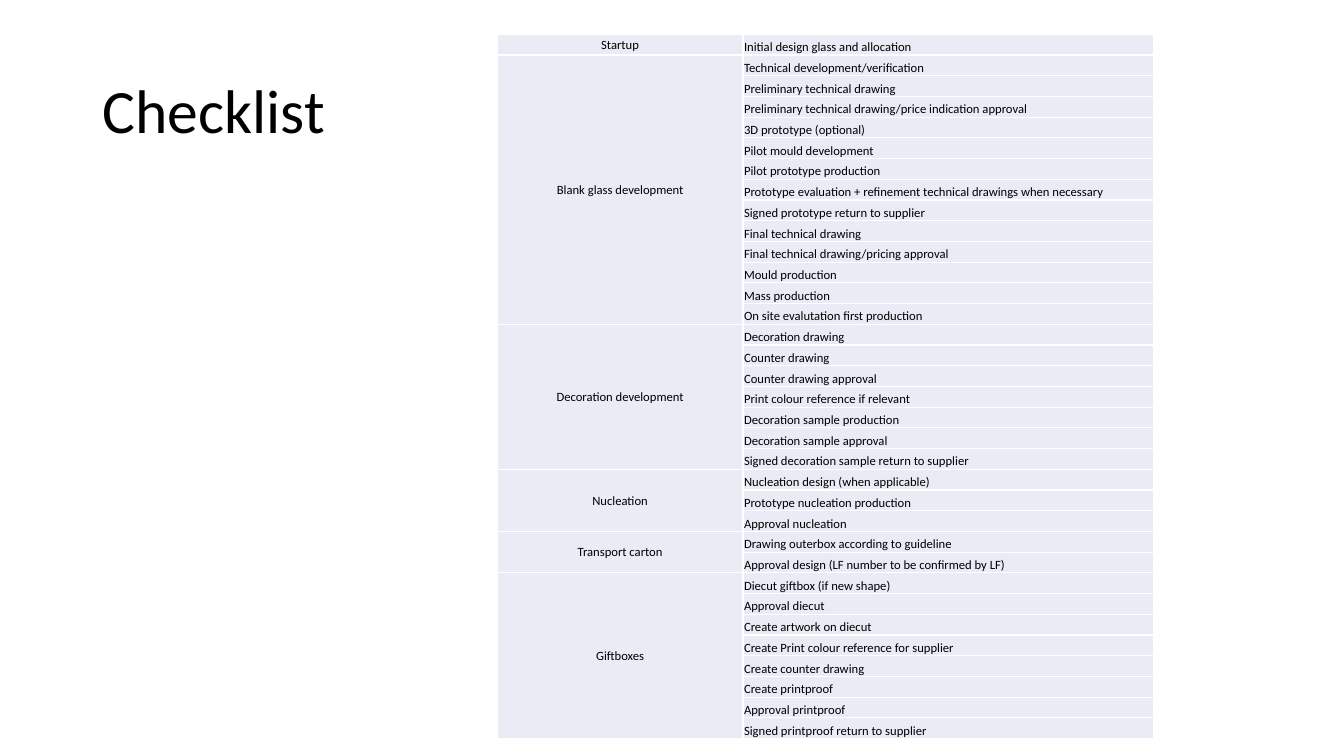
from lxml import etree
from pptx import Presentation
from pptx.dml.color import RGBColor
from pptx.enum.text import MSO_ANCHOR, PP_ALIGN
from pptx.oxml.ns import qn
from pptx.util import Inches, Pt

MIDDLE, BOTTOM = MSO_ANCHOR.MIDDLE, MSO_ANCHOR.BOTTOM
LEFT, CENTER = PP_ALIGN.LEFT, PP_ALIGN.CENTER

BLACK = RGBColor(0x00, 0x00, 0x00)
WHITE = RGBColor(0xFF, 0xFF, 0xFF)
PALE_BLUE = RGBColor(0xE9, 0xEB, 0xF5)
FONT = "Calibri"

PHASES = {
    "Startup": ["Initial design glass and allocation"],
    "Blank glass development": [
        "Technical development/verification",
        "Preliminary technical drawing",
        "Preliminary technical drawing/price indication approval",
        "3D prototype (optional)",
        "Pilot mould development",
        "Pilot prototype production",
        "Prototype evaluation + refinement technical drawings when necessary",
        "Signed prototype return to supplier",
        "Final technical drawing",
        "Final technical drawing/pricing approval",
        "Mould production",
        "Mass production",
        "On site evalutation first production",
    ],
    "Decoration development": [
        "Decoration drawing",
        "Counter drawing",
        "Counter drawing approval",
        "Print colour reference if relevant",
        "Decoration sample production",
        "Decoration sample approval",
        "Signed decoration sample return to supplier",
    ],
    "Nucleation": [
        "Nucleation design (when applicable)",
        "Prototype nucleation production",
        "Approval nucleation",
    ],
    "Transport carton": [
        "Drawing outerbox according to guideline",
        "Approval design (LF number to be confirmed by LF)",
    ],
    "Giftboxes": [
        "Diecut giftbox (if new shape)",
        "Approval diecut",
        "Create artwork on diecut",
        "Create Print colour reference for supplier",
        "Create counter drawing",
        "Create printproof",
        "Approval printproof",
        "Signed printproof return to supplier",
    ],
}


def format_text(paragraph, size):
    for run in paragraph.runs:
        run.font.name = FONT
        run.font.size = Pt(size)
        run.font.color.rgb = BLACK


def add_title(slide, left, top, width, height):
    box = slide.shapes.add_textbox(left, top, width, height)
    frame = box.text_frame
    frame.word_wrap = True
    frame.vertical_anchor = MIDDLE
    frame.text = "Checklist"
    frame.paragraphs[0].line_spacing = 0.9
    format_text(frame.paragraphs[0], 44)


def style_cell(cell):
    """Give the cell white borders, a pale fill and narrow margins."""
    properties = cell._tc.get_or_add_tcPr()
    for side in ("a:lnL", "a:lnR", "a:lnT", "a:lnB"):
        border = etree.SubElement(properties, qn(side), w=str(Pt(1)))
        fill = etree.SubElement(border, qn("a:solidFill"))
        etree.SubElement(fill, qn("a:srgbClr"), val=str(WHITE))
    cell.fill.solid()
    cell.fill.fore_color.rgb = PALE_BLUE
    cell.margin_left = cell.margin_right = cell.margin_top = Inches(0.01)
    cell.margin_bottom = 0


def write_cell(cell, text, alignment, anchor):
    cell.vertical_anchor = anchor
    cell.text_frame.text = text
    paragraph = cell.text_frame.paragraphs[0]
    paragraph.alignment = alignment
    format_text(paragraph, 9)


def add_checklist(slide, left, top, width, height):
    row_count = sum(len(tasks) for tasks in PHASES.values())
    table = slide.shapes.add_table(row_count, 2, left, top, width, height).table
    table.first_row = table.horz_banding = False
    phase_width = Inches(2.44)
    table.columns[0].width = phase_width
    table.columns[1].width = width - phase_width
    for cell in table.iter_cells():
        style_cell(cell)

    first = 0
    for phase, tasks in PHASES.items():
        phase_cell = table.cell(first, 0)
        if len(tasks) > 1:
            phase_cell.merge(table.cell(first + len(tasks) - 1, 0))
        write_cell(phase_cell, phase, CENTER, MIDDLE)
        for row, task in enumerate(tasks, first):
            write_cell(table.cell(row, 1), task, LEFT, BOTTOM)
        first += len(tasks)


def main():
    deck = Presentation()
    deck.slide_width, deck.slide_height = Inches(13.33), Inches(7.5)
    slide = deck.slides.add_slide(deck.slide_layouts[6])
    add_title(slide, Inches(0.92), Inches(0.4), Inches(11.5), Inches(1.45))
    add_checklist(slide, Inches(4.93), Inches(0.34), Inches(6.51), Inches(7))
    deck.save("out.pptx")


if __name__ == "__main__":
    main()
